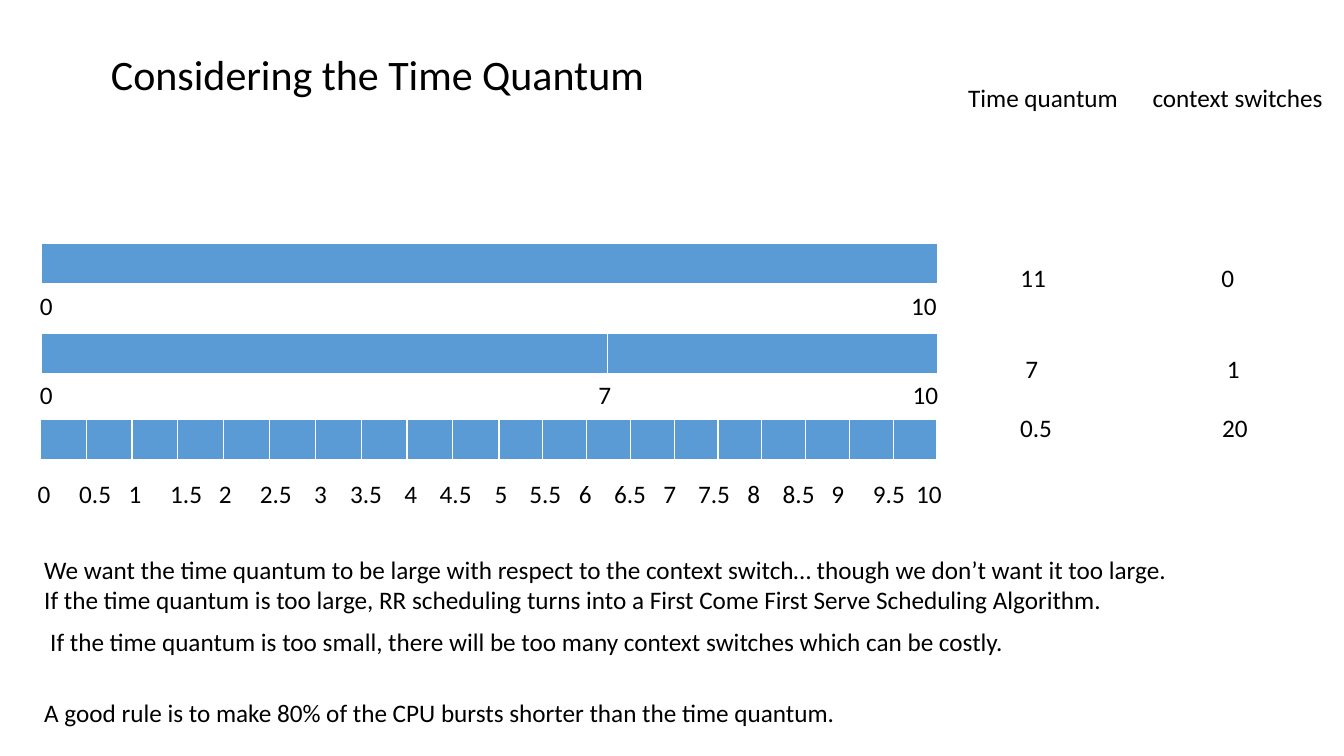
from dataclasses import dataclass

from lxml.etree import SubElement as sub
from pptx import Presentation
from pptx.dml.color import RGBColor as RGB
from pptx.enum.text import MSO_ANCHOR as Anchor, PP_ALIGN as Align
from pptx.oxml.ns import qn
from pptx.util import Pt


@dataclass(frozen=True)
class Theme:
    font: str = "Calibri"
    ink: RGB = RGB(0, 0, 0)
    bar: RGB = RGB(0x5B, 0x9B, 0xD5)
    edge: str = "FFFFFF"
    head: int = 30
    body: int = 18


THEME = Theme()
EDGES = {"L": 1, "R": 1, "T": 1, "B": 3}
BAR_H = 29.5
LINE_H = 28.8
HALVES = [31.5, 68, 96.5, 133, 161, 197, 229, 261.5, 293.5, 325.5, 358,
          389.5, 418, 450, 478.5, 510, 538.5, 570.5, 598.5, 635, 663.5]


def write(frame, text, size=THEME.body, gap=0, new=False):
    para = frame.add_paragraph() if new else frame.paragraphs[0]
    para.alignment = Align.LEFT
    para.space_before = Pt(gap)
    run = para.add_run()
    run.text = text
    font = run.font
    font.name, font.size = THEME.font, Pt(size)
    font.color.rgb = THEME.ink
    return para


def add_box(slide, left, top, width, height):
    box = slide.shapes.add_textbox(Pt(left), Pt(top), Pt(width), Pt(height))
    box.text_frame.word_wrap = True
    return box.text_frame


def add_note(slide, left, top, width, lines):
    frame = add_box(slide, left, top, width, LINE_H)
    for i, line in enumerate(lines):
        write(frame, line, new=i > 0)


def set_tabs(para, stops):
    props = para._p.get_or_add_pPr()
    tabs = sub(props, qn("a:tabLst"))
    for stop in stops:
        sub(tabs, qn("a:tab"), pos=str(Pt(stop)), algn="ctr")


def add_tabbed(slide, left, top, width, rows):
    frame = add_box(slide, left, top, width, LINE_H)
    frame.margin_left = frame.margin_right = 0
    for i, (gap, marks) in enumerate(rows):
        text = "".join("\t" + label for label, _ in marks)
        para = write(frame, text, gap=gap, new=i > 0)
        set_tabs(para, [spot - left for _, spot in marks])


def add_edges(cell):
    props = cell._tc.get_or_add_tcPr()
    for side, width in EDGES.items():
        line = sub(props, qn("a:ln" + side), w=str(Pt(width)))
        fill = sub(line, qn("a:solidFill"))
        sub(fill, qn("a:srgbClr"), val=THEME.edge)


def add_bar(slide, left, top, widths):
    table = slide.shapes.add_table(1, len(widths), Pt(left), Pt(top),
                                   Pt(sum(widths)), Pt(BAR_H)).table
    table.first_row = table.horz_banding = False
    table.rows[0].height = Pt(BAR_H)
    for i, width in enumerate(widths):
        table.columns[i].width = Pt(width)
        cell = table.cell(0, i)
        add_edges(cell)
        cell.fill.solid()
        cell.fill.fore_color.rgb = THEME.bar


def add_title(slide, text):
    title = slide.shapes.title
    title.left, title.top = Pt(72), Pt(31)
    title.width, title.height = Pt(798), Pt(44)
    title.text_frame.vertical_anchor = Anchor.MIDDLE
    write(title.text_frame, text, size=THEME.head)


def main():
    deck = Presentation()
    deck.slide_width, deck.slide_height = Pt(960), Pt(540)
    slide = deck.slides.add_slide(deck.slide_layouts[5])
    add_title(slide, "Considering the Time Quantum")

    add_bar(slide, 29.5, 174.2, [640])
    add_bar(slide, 29.5, 238.3, [404.6, 235.4])
    add_bar(slide, 356.4, 299.5, [31.3] * 10)
    add_bar(slide, 28.8, 299.5, [32.76] * 10)

    add_tabbed(slide, 9.4, 203.8, 705, [(0, [("0", 33), ("10", 660)])])
    add_tabbed(slide, 9.4, 267.1, 709,
               [(0, [("0", 33), ("7", 432), ("10", 661)])])
    ticks = [(f"{i / 2:g}", spot) for i, spot in enumerate(HALVES)]
    add_tabbed(slide, 0, 338.4, 698, [(0, ticks)])

    add_tabbed(slide, 685.4, 55.4, 270, [
        (0, [("Time quantum", 745), ("context switches", 884)]),
        (107, [("11", 738), ("0", 877)]),
        (43, [("7", 737), ("1", 881)]),
        (21, [("0.5", 740), ("20", 882)]),
    ])

    add_note(slide, 24.5, 392.4, 877, [
        "We want the time quantum to be large with respect to the context "
        "switch… though we don’t want it too large.",
        "If the time quantum is too large, RR scheduling turns into a "
        "First Come First Serve Scheduling Algorithm.",
    ])
    add_note(slide, 28.8, 443.5, 764, [
        "If the time quantum is too small, there will be too many "
        "context switches which can be costly."])
    add_note(slide, 24.5, 494.6, 796, [
        "A good rule is to make 80% of the CPU bursts shorter than "
        "the time quantum."])
    deck.save("out.pptx")


if __name__ == "__main__":
    main()
